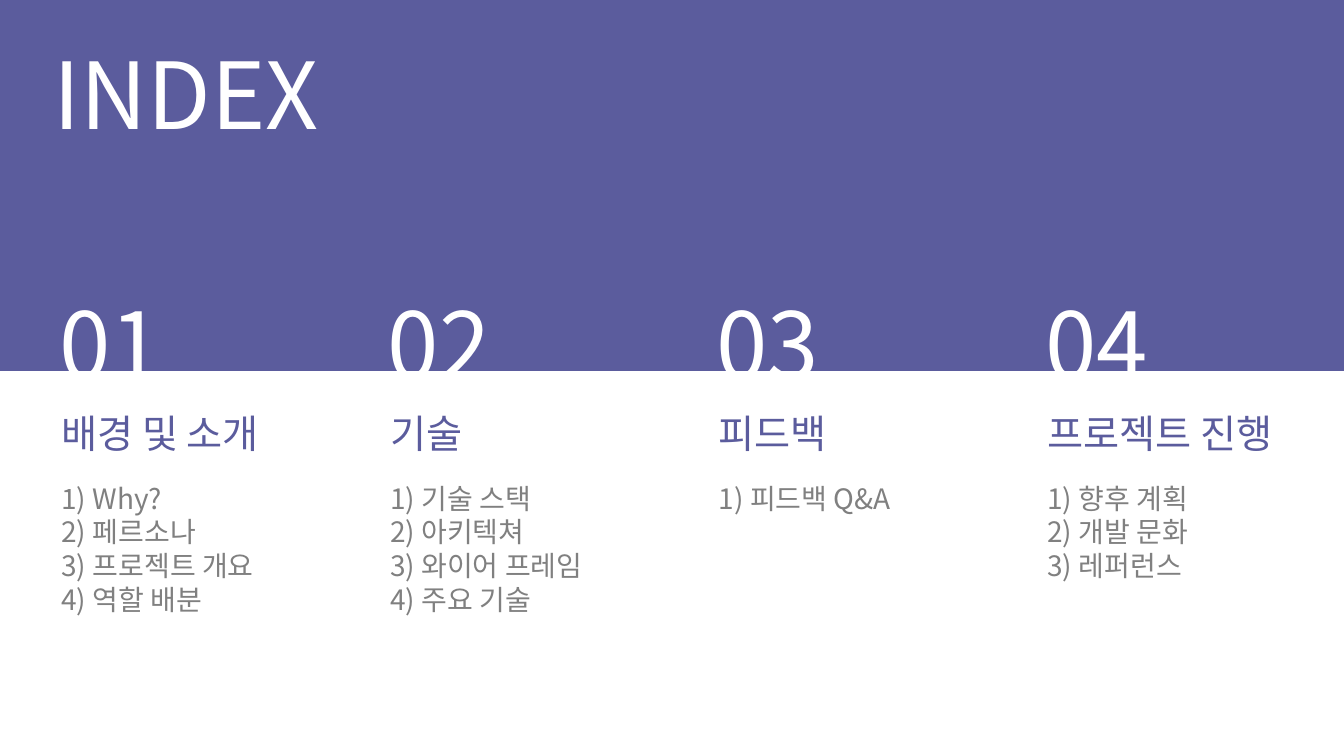
"""Build the INDEX slide with four numbered agenda columns."""
import pptx
import pptx.dml.color
import pptx.enum.shapes
import pptx.enum.text
import pptx.oxml
import pptx.oxml.ns
import pptx.util
from pptx.util import Inches

FONT = "Noto Sans CJK KR"
PURPLE, WHITE, GRAY = "5B5C9D", "FFFFFF", "808080"
LEFT = pptx.enum.text.PP_ALIGN.LEFT
CENTER = pptx.enum.text.PP_ALIGN.CENTER


def color(hex_string):
    return pptx.dml.color.RGBColor.from_string(hex_string)


def add_text(left, top, width, height, lines, size, line_height, hex_string, alignment):
    box = slide.shapes.add_textbox(Inches(left), Inches(top), Inches(width), Inches(height))
    frame = box.text_frame
    frame.word_wrap = True
    for index, line in enumerate(lines):
        paragraph = frame.add_paragraph() if index else frame.paragraphs[0]
        paragraph.alignment = alignment
        paragraph.line_spacing = pptx.util.Pt(line_height)
        run = paragraph.add_run()
        run.text = line
        run.font.size = pptx.util.Pt(size)
        run.font.name = FONT
        run.font.color.rgb = color(hex_string)
        east_asian = pptx.oxml.parse_xml(
            f'<a:ea {pptx.oxml.ns.nsdecls("a")} typeface="{FONT}"/>')
        run.font._element.find(pptx.oxml.ns.qn("a:latin")).addnext(east_asian)


presentation = pptx.Presentation()
presentation.slide_width = Inches(13.33)
presentation.slide_height = Inches(7.5)
slide = presentation.slides.add_slide(presentation.slide_layouts[6])

panels = [
    (0, 0.13, 7.5, PURPLE),
    (3.68, 13.33, 3.86, WHITE),
    (0, 13.33, 0.13, PURPLE),
    (0, 13.33, 3.68, PURPLE),
]
for top, width, height, fill in panels:
    panel = slide.shapes.add_shape(
        pptx.enum.shapes.MSO_SHAPE.RECTANGLE,
        Inches(0), Inches(top), Inches(width), Inches(height))
    panel.shadow.inherit = False
    panel.fill.solid()
    panel.fill.fore_color.rgb = color(fill)
    panel.line.fill.background()

add_text(0.33, 0.32, 3.03, 1.21, ["INDEX"], 66, 79, WHITE, CENTER)

sections = [
    ("배경 및 소개", ["1) Why?", "2) 페르소나", "3) 프로젝트 개요", "4) 역할 배분"]),
    ("기술", ["1) 기술 스택", "2) 아키텍쳐", "3) 와이어 프레임", "4) 주요 기술"]),
    ("피드백", ["1) 피드백 Q&A"]),
    ("프로젝트 진행", ["1) 향후 계획", "2) 개발 문화", "3) 레퍼런스"]),
]
for column, (heading, items) in enumerate(sections):
    left = 0.51 + 3.26 * column
    add_text(left - 0.25, 2.8, 1.67, 1.21, [f"{column + 1:02}"], 66, 79, WHITE, CENTER)
    add_text(left, 4.01, 2.78, 0.57, [heading], 28, 34, PURPLE, LEFT)
    add_text(left, 4.72, 2.78, 0.1 + 0.34 * len(items), items, 20, 24.2, GRAY, LEFT)

presentation.save("out.pptx")
